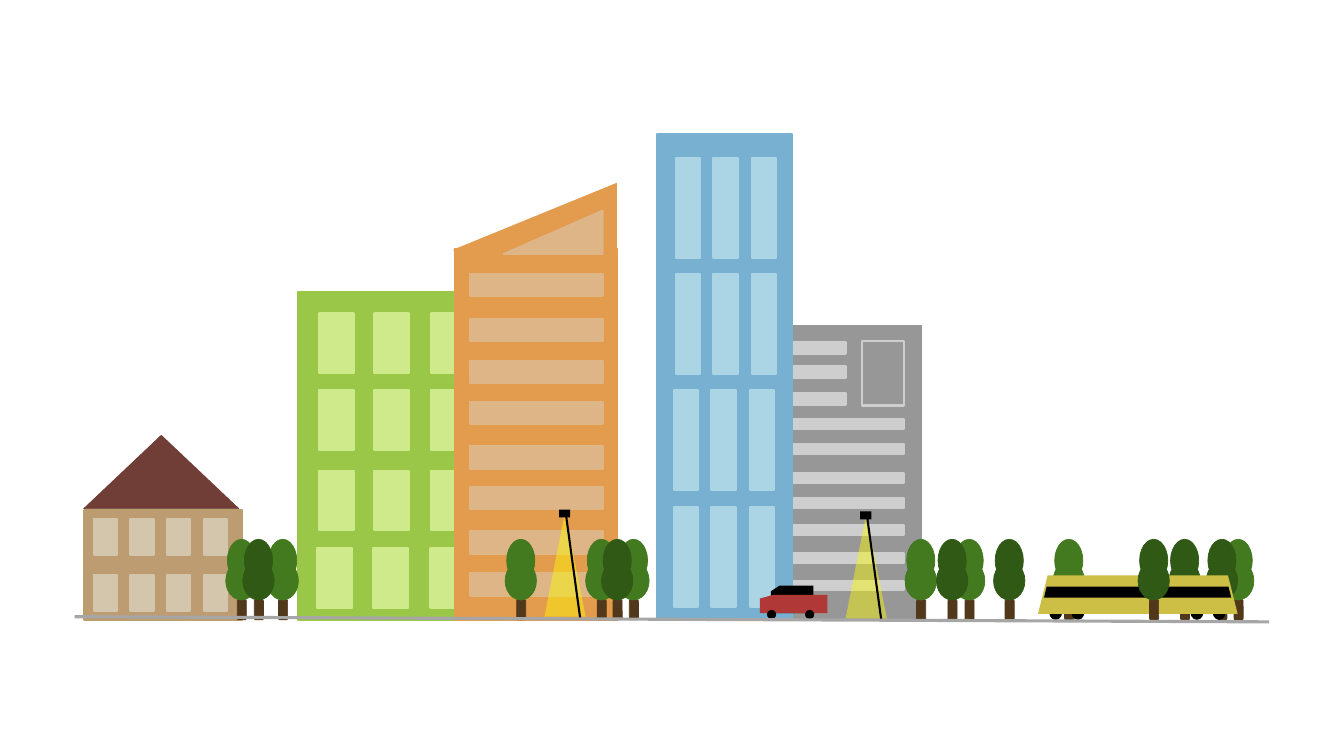
from lxml import etree
from pptx import Presentation
from pptx.dml.color import RGBColor
from pptx.enum.shapes import MSO_CONNECTOR, MSO_SHAPE
from pptx.oxml.ns import qn
from pptx.util import Cm, Pt

RECT = MSO_SHAPE.RECTANGLE
ROUNDED = MSO_SHAPE.ROUNDED_RECTANGLE
OVAL = MSO_SHAPE.OVAL
TRIANGLE = MSO_SHAPE.ISOSCELES_TRIANGLE
RIGHT_TRIANGLE = MSO_SHAPE.RIGHT_TRIANGLE
TRAPEZOID = MSO_SHAPE.TRAPEZOID
CARD = MSO_SHAPE.FLOWCHART_CARD
WHEEL = MSO_SHAPE.FLOWCHART_CONNECTOR
STRAIGHT = MSO_CONNECTOR.STRAIGHT

COLOURS = {
    "roof": "703D37", "brick": "BD9C72", "brick edge": "BB9E6E", "house glass": "D3C6AD",
    "green": "9AC748", "green glass": "CFEA8A",
    "orange": "E39B4D", "orange glass": "DDB587",
    "grey": "979797", "grey glass": "CECECE",
    "blue": "78B0D1", "blue glass": "ABD5E4",
    "trunk": "51381B", "light leaf": "43791F", "dark leaf": "2F5915",
    "bus": "CDBF46", "car": "B03836", "black": "000000",
    "beam": "FFFF00", "ground": "A6A6A6",
}


class Scene:
    def __init__(self, slide, colours):
        self.slide = slide
        self.rgb = {name: RGBColor.from_string(code) for name, code in colours.items()}
        self.shapes = slide.shapes

    def group(self):
        self.shapes = self.slide.shapes.add_group_shape().shapes

    def ungroup(self):
        self.shapes = self.slide.shapes

    def shape(self, kind, x, y, w, h, fill=None, width=0, edge=None, alpha=None, flip=False):
        s = self.shapes.add_shape(kind, Cm(x), Cm(y), Cm(w), Cm(h))
        formats = [(s.shadow, {"inherit": False})]
        if fill:
            s.fill.solid()
            formats.append((s.fill.fore_color, {"rgb": self.rgb[fill]}))
        else:
            s.fill.background()
        if width:
            formats.append((s.line, {"width": Pt(width)}))
            formats.append((s.line.color, {"rgb": self.rgb[edge or fill]}))
        else:
            s.line.fill.background()
        for target, values in formats:
            for name, value in values.items():
                setattr(target, name, value)
        if alpha:
            colour = s.fill._xPr.find(qn("a:solidFill"))[0]
            etree.SubElement(colour, qn("a:alpha")).set("val", str(alpha * 1000))
        if flip:
            s.element.spPr.find(qn("a:xfrm")).set("flipH", "1")

    def line(self, x1, y1, x2, y2, colour, width):
        c = self.shapes.add_connector(STRAIGHT, Cm(x1), Cm(y1), Cm(x2), Cm(y2))
        c.line.width = Pt(width)
        c.line.color.rgb = self.rgb[colour]
        etree.SubElement(c.element.spPr, qn("a:effectLst"))

    def windows(self, xs, ys, w, h, colour):
        for y in ys:
            for x in xs:
                self.shape(RECT, x, y, w, h, colour, 1.5)

    def wheels(self, kind, xs, y, w, h):
        for x in xs:
            self.shape(kind, x, y, w, h, "black")

    def tree(self, x, leaf):
        self.group()
        self.shape(ROUNDED, x + 0.29, 15.11, 0.23, 0.51, "trunk", 0.5)
        self.shape(OVAL, x, 14.15, 0.79, 0.97, leaf, 0.5)
        self.shape(OVAL, x + 0.04, 13.59, 0.71, 1.07, leaf, 0.5)

    def trees(self, places):
        for x, leaf in places:
            self.tree(x, leaf + " leaf")

    def street_lamp(self, x, y):
        self.group()
        self.shape(TRIANGLE, x, y, 1.04, 2.64, "beam", alpha=44)
        self.line(x + 0.54, y + 0.05, x + 0.9, y + 2.67, "black", 1.5)
        self.shape(RECT, x + 0.37, y - 0.06, 0.28, 0.2, "black")


def draw_buildings(scene):
    scene.group()
    scene.shape(TRIANGLE, 2.11, 10.97, 3.91, 1.85, "roof", 0.5)
    scene.shape(RECT, 2.13, 12.85, 3.96, 2.77, "brick", 1.5, "brick edge")
    scene.windows([2.36 + 0.93 * i for i in range(4)], (13.08, 14.48), 0.58, 0.91, "house glass")

    scene.group()
    scene.shape(RECT, 7.52, 7.37, 4.78, 8.26, "green", 1.5)
    scene.windows((8.03, 9.42, 10.87), (7.9, 9.83, 11.86), 0.89, 1.5, "green glass")
    scene.windows((7.98, 9.4, 10.85), (13.82,), 0.89, 1.5, "green glass")

    scene.group()
    scene.shape(RIGHT_TRIANGLE, 11.43, 4.62, 4.11, 1.68, "orange", 0.5, flip=True)
    scene.shape(RECT, 11.46, 6.27, 4.11, 9.37, "orange", 0.5)
    scene.shape(RIGHT_TRIANGLE, 12.7, 5.31, 2.49, 1.09, "orange glass", 1.5, flip=True)
    floors = (6.91, 8.03, 9.09, 10.13, 11.25, 12.27, 13.39, 14.45)
    scene.windows((11.84,), floors, 3.35, 0.56, "orange glass")

    scene.group()
    scene.shape(RECT, 19.43, 8.2, 3.78, 7.42, "grey", 0.5)
    scene.windows((19.66,), (8.61, 9.22, 9.91), 1.65, 0.3, "grey glass")
    scene.shape(RECT, 21.72, 8.59, 1.07, 1.63, width=1.5, edge="grey glass")
    floors = (10.57, 11.2, 11.91, 12.55, 13.23, 13.94, 14.63)
    scene.windows((19.66,), floors, 3.12, 0.25, "grey glass")

    scene.group()
    scene.shape(RECT, 16.56, 3.38, 3.4, 12.22, "blue", 1.5)
    scene.windows((17.04, 17.98, 18.95), (3.99, 6.91), 0.61, 2.51, "blue glass")
    scene.windows((16.99, 17.93, 18.9), (9.83, 12.78), 0.61, 2.51, "blue glass")


def draw_street(scene):
    scene.trees([(26.54, "light"), (29.46, "dark"), (30.81, "light"), (30.4, "dark")])

    scene.group()
    scene.wheels(WHEEL, (26.44, 27, 30, 30.56), 15.24, 0.33, 0.38)
    scene.shape(TRAPEZOID, 26.16, 14.5, 5.03, 0.97, "bus")
    scene.shape(TRAPEZOID, 26.31, 14.78, 4.72, 0.28, "black")

    scene.group()
    scene.shape(CARD, 19.43, 14.76, 1.07, 0.69, "black")
    scene.shape(CARD, 19.15, 14.99, 1.7, 0.46, "car")
    scene.wheels(OVAL, (19.33, 20.29), 15.37, 0.23, 0.23)

    scene.trees([
        (5.69, "light"), (6.73, "light"), (6.12, "dark"),
        (12.73, "light"), (14.76, "light"), (15.57, "light"), (15.16, "dark"),
        (22.81, "light"), (24.03, "light"), (23.6, "dark"), (25.04, "dark"),
        (28.68, "dark"),
    ])
    scene.street_lamp(13.72, 12.9)
    scene.street_lamp(21.31, 12.95)
    scene.ungroup()
    scene.line(1.88, 15.54, 31.98, 15.67, "ground", 2.25)


def main():
    prs = Presentation()
    prs.slide_width, prs.slide_height = Cm(33.87), Cm(19.05)
    scene = Scene(prs.slides.add_slide(prs.slide_layouts[6]), COLOURS)
    draw_buildings(scene)
    draw_street(scene)
    prs.save("out.pptx")


if __name__ == "__main__":
    main()
